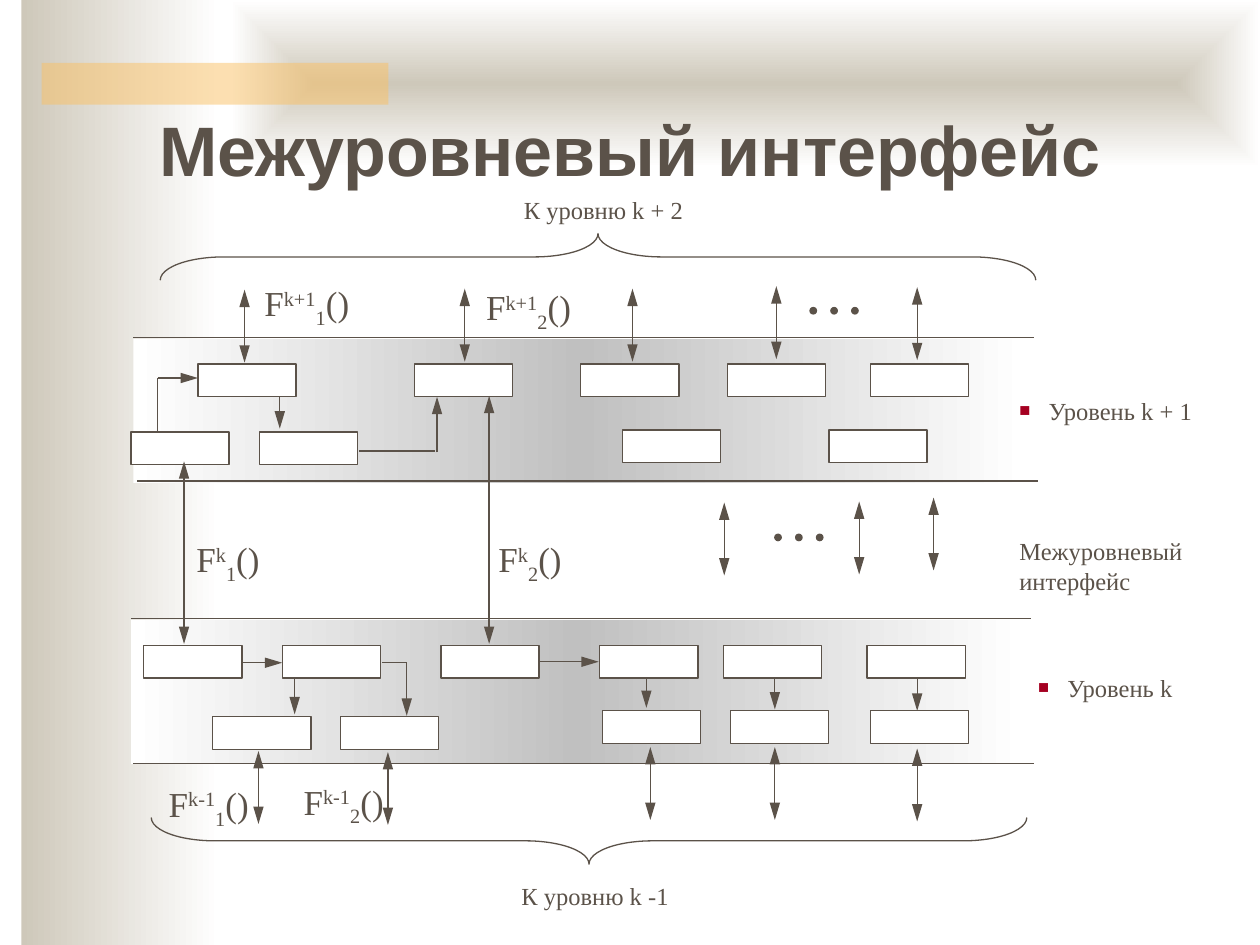
from pptx import Presentation
from pptx.dml.color import RGBColor
from pptx.enum.shapes import MSO_CONNECTOR, MSO_SHAPE
from pptx.enum.text import PP_ALIGN
from pptx.oxml import parse_xml
from pptx.oxml.ns import nsdecls
from pptx.util import Cm, Pt

INK, SAND, WHITE, GREY = "5B5249", "CEC8BA", "FFFFFF", "C0C0C0"


def rgb(value):
    return RGBColor.from_string(value)


def add_xml(parent, tag, inner="", **attrs):
    text = "".join(f' {k}="{v}"' for k, v in attrs.items())
    node = parse_xml(f"<a:{tag} {nsdecls('a')}{text}>{inner}</a:{tag}>")
    parent.append(node)
    return node


class Diagram:
    serif, heading = "Times New Roman", "Arial"
    line_width = Pt(0.75)

    def __init__(self, slide):
        self.s = slide

    def shape(self, kind, x, y, w, h, fill=None, line=INK):
        sp = self.s.shapes.add_shape(kind, Cm(x), Cm(y), Cm(w), Cm(h))
        sp.shadow.inherit = False
        if fill:
            sp.fill.solid()
            sp.fill.fore_color.rgb = rgb(fill)
        else:
            sp.fill.background()
        if line:
            sp.line.color.rgb = rgb(line)
            sp.line.width = self.line_width
        else:
            sp.line.fill.background()
        return sp

    def box(self, x, y):
        self.shape(MSO_SHAPE.RECTANGLE, x, y, 1.98, 0.66, WHITE)

    def dots(self, x, y):
        for i in range(3):
            self.shape(MSO_SHAPE.OVAL, x + 0.42 * i, y, 0.13, 0.13, INK)

    def gradient(self, x, y, w, h, colors, from_centre=False):
        sp = self.shape(MSO_SHAPE.RECTANGLE, x, y, w, h, line=None)
        stops = "".join(
            f'<a:gs pos="{100000 * i // (len(colors) - 1)}"><a:srgbClr val="{c}"/></a:gs>'
            for i, c in enumerate(colors))
        if from_centre:
            course = ('<a:path path="shape"><a:fillToRect l="50000" t="50000"'
                      ' r="50000" b="50000"/></a:path>')
        else:
            course = '<a:lin ang="0" scaled="1"/>'
        spPr = sp._element.spPr
        grad = add_xml(spPr, "gradFill", f"<a:gsLst>{stops}</a:gsLst>{course}", rotWithShape=1)
        spPr.replace(spPr.find(grad.tag.replace("gradFill", "noFill")), grad)

    def accent(self, x, y, w, h, color, alpha):
        sp = self.shape(MSO_SHAPE.RECTANGLE, x, y, w, h, color, None)
        clr = sp.fill._xPr.solidFill if hasattr(sp.fill._xPr, "solidFill") else sp._element.spPr.eg_fillProperties
        add_xml(clr[0], "alpha", val=alpha * 1000)

    def brace(self, x, y, w, h, rotation):
        sp = self.shape(MSO_SHAPE.LEFT_BRACE, x + (w - h) / 2, y + (h - w) / 2, h, w)
        sp.adjustments[0], sp.adjustments[1] = 1.36, 0.5
        sp.rotation = rotation

    def line(self, x1, y1, x2, y2, ends=()):
        c = self.s.shapes.add_connector(MSO_CONNECTOR.STRAIGHT, Cm(x1), Cm(y1), Cm(x2), Cm(y2))
        c.line.color.rgb = rgb(INK)
        c.line.width = self.line_width
        for end in ends:
            add_xml(c.line._get_or_add_ln(), end, type="triangle", w="med", len="lg")
        add_xml(c._element.spPr, "effectLst")

    def arrow(self, x1, y1, x2, y2):
        self.line(x1, y1, x2, y2, ["tailEnd"])

    def double_arrow(self, x, top, length=1.47):
        self.line(x, top + length, x, top, ["headEnd", "tailEnd"])

    def text(self, x, y, w, h, runs, size=14, font=serif, bold=False, align=PP_ALIGN.LEFT, bullet=False):
        tf = self.s.shapes.add_textbox(Cm(x), Cm(y), Cm(w), Cm(h)).text_frame
        tf.word_wrap = True
        p = tf.paragraphs[0]
        p.alignment = align
        for content, baseline in runs:
            r = p.add_run()
            r.text = content
            r.font.size, r.font.name, r.font.bold = Pt(size), font, bold
            r.font.color.rgb = rgb(INK)
            if baseline:
                r._r.get_or_add_rPr().set("baseline", str(baseline * 1000))
        if bullet:
            pPr = p._p.get_or_add_pPr()
            pPr.set("marL", str(Cm(0.59)))
            pPr.set("indent", str(-Cm(0.59)))
            add_xml(pPr, "buClr", '<a:srgbClr val="A50021"/>')
            add_xml(pPr, "buSzPct", val=75000)
            add_xml(pPr, "buFont", typeface=self.heading)
            add_xml(pPr, "buChar", char="■")

    def title(self, content):
        self.text(0, 2.03, 25.4, 1.96, [(content, 0)], 40, self.heading, True, PP_ALIGN.CENTER)

    def label(self, x, y, w, h, content, bullet=False):
        self.text(x, y, w, h, [(content, 0)], bullet=bullet)

    def function(self, x, y, level, number):
        self.text(x, y, 2.6, 1.12, [("F", 0), (level, 30), (number, -25), ("()", 0)], 20)


def main():
    prs = Presentation()
    prs.slide_width, prs.slide_height = Cm(25.4), Cm(19.05)
    d = Diagram(prs.slides.add_slide(prs.slide_layouts[6]))

    d.gradient(0.43, 0, 4.01, 19.05, [SAND, WHITE])
    d.gradient(4.65, 0, 20.75, 3.38, [SAND, WHITE], from_centre=True)
    d.accent(0.84, 1.27, 6.99, 0.84, "FAC164", 50)
    d.title("Межуровневый интерфейс")

    for x, y in [(2.69, 6.83), (2.64, 12.5)]:
        d.gradient(x, y, 18, 2.9, [WHITE, GREY, WHITE])
    for x, y in [(2.69, 6.81), (2.77, 9.7), (2.64, 12.47), (2.69, 15.39)]:
        d.line(x, y, x + 18.15, y)

    box_rows = [
        (7.34, [3.99, 8.36, 11.71, 14.66, 17.55]),
        (8.71, [2.64, 5.23]),
        (8.67, [12.55, 16.71]),
        (13.01, [2.9, 5.69, 8.89, 12.09, 14.58, 17.48]),
        (14.45, [4.29, 6.86]),
        (14.33, [12.14, 14.73, 17.55]),
    ]
    for y, columns in box_rows:
        for x in columns:
            d.box(x, y)

    d.brace(3.23, 4.71, 17.65, 0.94, 90)
    d.brace(3.05, 16.48, 17.65, 0.94, 270)

    for x, top in [(4.93, 5.84), (9.37, 5.82), (12.75, 5.82), (15.65, 5.77), (18.49, 5.79),
                   (14.6, 10.13), (17.32, 10.11), (18.82, 10.03),
                   (5.21, 15.14), (7.82, 15.16), (13.11, 15.06), (15.62, 15.06), (18.49, 15.09)]:
        d.double_arrow(x, top)
    d.double_arrow(3.71, 9.3, 3.68)
    d.double_arrow(9.86, 7.98, 5)

    for ends in [(3.18, 7.62, 3.99, 7.62), (5.64, 8, 5.64, 8.64), (8.81, 9.12, 8.81, 8),
                 (4.88, 13.36, 5.69, 13.36), (10.87, 13.34, 12.07, 13.34),
                 (13.03, 13.67, 13.03, 14.27), (15.62, 13.69, 15.62, 14.3),
                 (18.49, 13.67, 18.49, 14.33), (8.2, 13.36, 8.2, 14.43),
                 (5.94, 13.69, 5.94, 14.4)]:
        d.arrow(*ends)
    for ends in [(3.18, 8.69, 3.18, 7.62), (7.24, 9.09, 8.76, 9.09), (7.7, 13.36, 8.2, 13.36)]:
        d.line(*ends)

    d.dots(16.33, 6.2)
    d.dots(15.62, 10.77)

    d.label(10.31, 3.81, 4.22, 0.86, "К уровню k + 2")
    d.label(20.3, 7.85, 4.01, 0.86, "Уровень k + 1", bullet=True)
    d.label(20.3, 10.69, 4.01, 1.45, "Межуровневый интерфейс")
    d.label(20.68, 13.44, 3.53, 0.86, "Уровень k", bullet=True)
    d.label(10.26, 17.63, 3.53, 0.86, "К уровню k -1")

    for x, y, level, number in [(5.08, 5.56, "k+1", "1"), (9.55, 5.64, "k+1", "2"),
                                (3.71, 10.72, "k", "1"), (9.8, 10.72, "k", "2"),
                                (3.15, 15.65, "k-1", "1"), (5.87, 15.6, "k-1", "2")]:
        d.function(x, y, level, number)

    prs.save("out.pptx")


if __name__ == "__main__":
    main()
